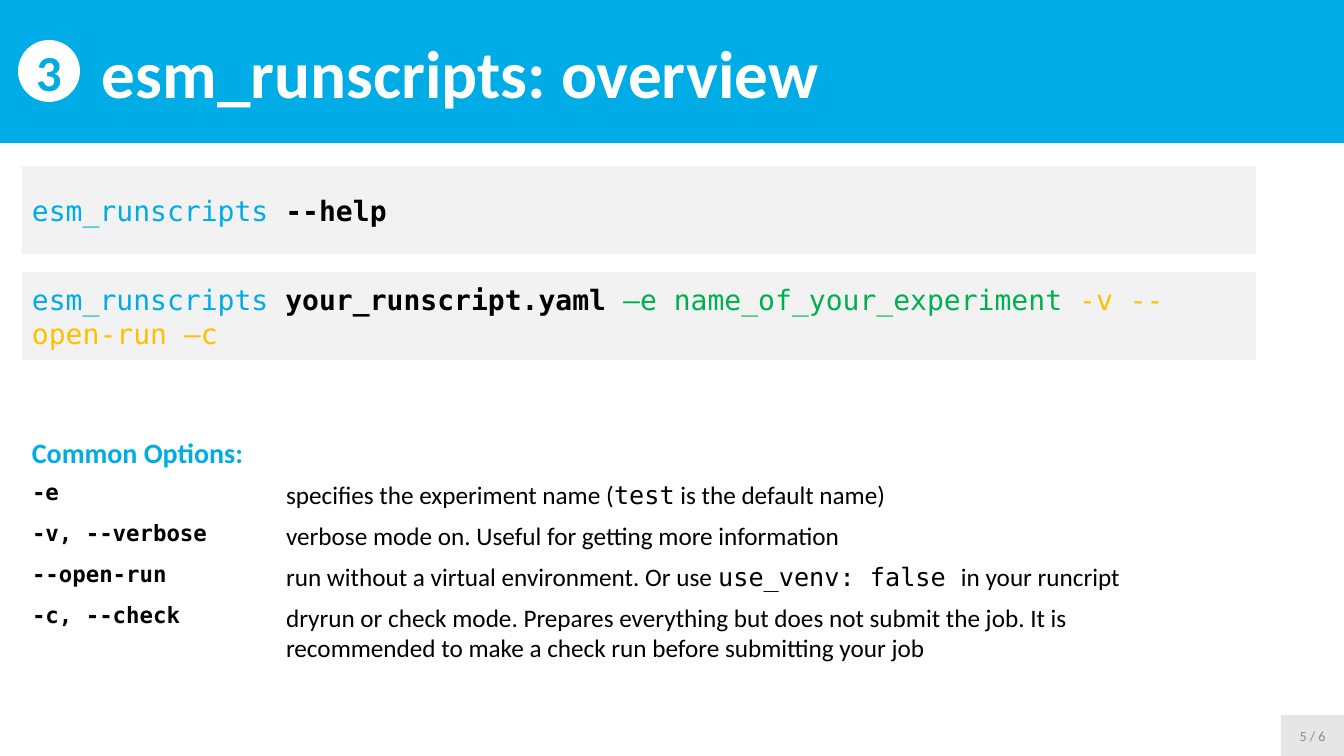
import pptx
import pptx.dml.color
import pptx.enum.shapes
import pptx.enum.text
import pptx.util

EMU_PER_PX = 914400 / 100.8
COLOURS = {
    "blue": "00ACE6", "white": "FFFFFF", "black": "000000", "green": "00B050",
    "amber": "FFC000", "panel": "F2F2F2", "footer": "E7E6E6", "grey": "8C8C8C",
}
SANS, MONO = "Calibri", "DejaVu Sans Mono"
RECTANGLE = pptx.enum.shapes.MSO_SHAPE.RECTANGLE
OVAL = pptx.enum.shapes.MSO_SHAPE.OVAL
LEFT = pptx.enum.text.PP_ALIGN.LEFT
CENTER = pptx.enum.text.PP_ALIGN.CENTER

COMMANDS = [
    [("esm_runscripts ", {"colour": "blue"}), ("--help", {"bold": True})],
    [("esm_runscripts ", {"colour": "blue"}),
     ("your_runscript.yaml ", {"bold": True}),
     ("–e name_of_your_experiment ", {"colour": "green"}),
     ("-v --open-run –c", {"colour": "amber"})],
]
# Each description is a list of (text, font) pieces
OPTIONS = [
    ("-e", [("specifies the experiment name (", SANS), ("test", MONO),
            (" is the default name)", SANS)]),
    ("-v, --verbose",
     [("verbose mode on. Useful for getting more information", SANS)]),
    ("--open-run", [("run without a virtual environment. Or use ", SANS),
                    ("use_venv: false ", MONO), ("in your runcript", SANS)]),
    ("-c, --check",
     [("dryrun or check mode. Prepares everything but does not submit the job. "
       "It is recommended to make a check run before submitting your job", SANS)]),
]


def px(length):
    return pptx.util.Emu(round(length * EMU_PER_PX))


def rgb(name):
    return pptx.dml.color.RGBColor.from_string(COLOURS[name])


def add_text(para, text, size=20, font=SANS, colour="black", bold=False):
    span = para.add_run()
    span.text = text
    span.font.size = pptx.util.Pt(size)
    span.font.name = font
    span.font.bold = bold
    span.font.color.rgb = rgb(colour)


def add_box(page, kind, left, top, width, height, fill, align=LEFT, inset=10):
    """Add a plain filled shape and return its first paragraph."""
    box = page.shapes.add_shape(kind, px(left), px(top), px(width), px(height))
    box.shadow.inherit = False
    box.fill.solid()
    box.fill.fore_color.rgb = rgb(fill)
    box.line.fill.background()
    frame = box.text_frame
    frame.word_wrap = True
    frame.margin_left = px(inset)
    frame.margin_right = px(min(inset, 10))
    frame.vertical_anchor = pptx.enum.text.MSO_ANCHOR.MIDDLE
    para = frame.paragraphs[0]
    para.alignment = align
    return para


def add_heading(page, text, left, top, width, height):
    box = page.shapes.add_textbox(px(left), px(top), px(width), px(height))
    box.text_frame.word_wrap = False
    add_text(box.text_frame.paragraphs[0], text, colour="blue", bold=True)


def add_options_table(page, left, top, column_widths, row_heights):
    table = page.shapes.add_table(
        len(OPTIONS), len(column_widths), px(left), px(top),
        px(sum(column_widths)), px(sum(row_heights))).table
    table.first_row = False
    table.horz_banding = False
    for column, width in zip(table.columns, column_widths):
        column.width = px(width)
    for index, (flag, description) in enumerate(OPTIONS):
        table.rows[index].height = px(row_heights[index])
        flag_cell, description_cell = table.rows[index].cells
        flag_cell.fill.background()
        description_cell.fill.background()
        add_text(flag_cell.text_frame.paragraphs[0], flag,
                 size=16, font=MONO, bold=True)
        for text, font in description:
            add_text(description_cell.text_frame.paragraphs[0], text,
                     size=18, font=font)


def main():
    deck = pptx.Presentation()
    deck.slide_width, deck.slide_height = px(1344), px(756)
    page = deck.slides.add_slide(deck.slide_layouts[6])

    # Title band with its section number
    title = add_box(page, RECTANGLE, 0, 0, 1344, 143, "blue", inset=102)
    add_text(title, "esm_runscripts: overview", size=48, colour="white", bold=True)
    number = add_box(page, OVAL, 18, 40, 62, 62, "white", CENTER, inset=0)
    add_text(number, "3", size=36, colour="blue", bold=True)

    # Command lines
    for index, command in enumerate(COMMANDS):
        para = add_box(page, RECTANGLE, 22, 166 + 106 * index, 1234, 88, "panel")
        for text, style in command:
            add_text(para, text, font=MONO, **style)

    # Common options
    add_heading(page, "Common Options:", 22, 431, 234, 44)
    add_options_table(page, 22, 475, [254, 858], [41, 41, 41, 70])

    # Page number
    footer = add_box(page, RECTANGLE, 1281, 715, 63, 41, "footer", CENTER)
    add_text(footer, "5 / 6", size=10, colour="grey")

    deck.save("out.pptx")


if __name__ == "__main__":
    main()
